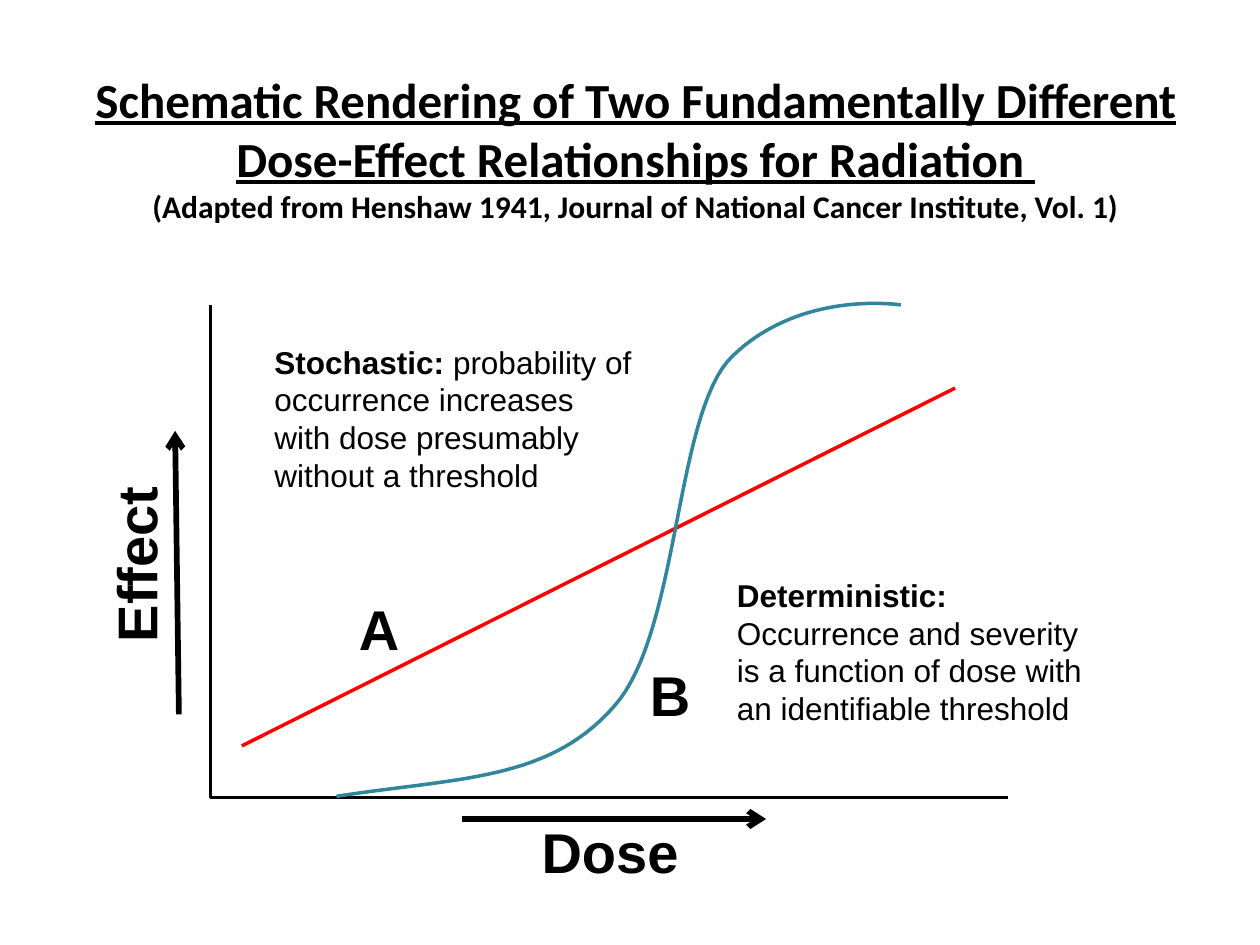
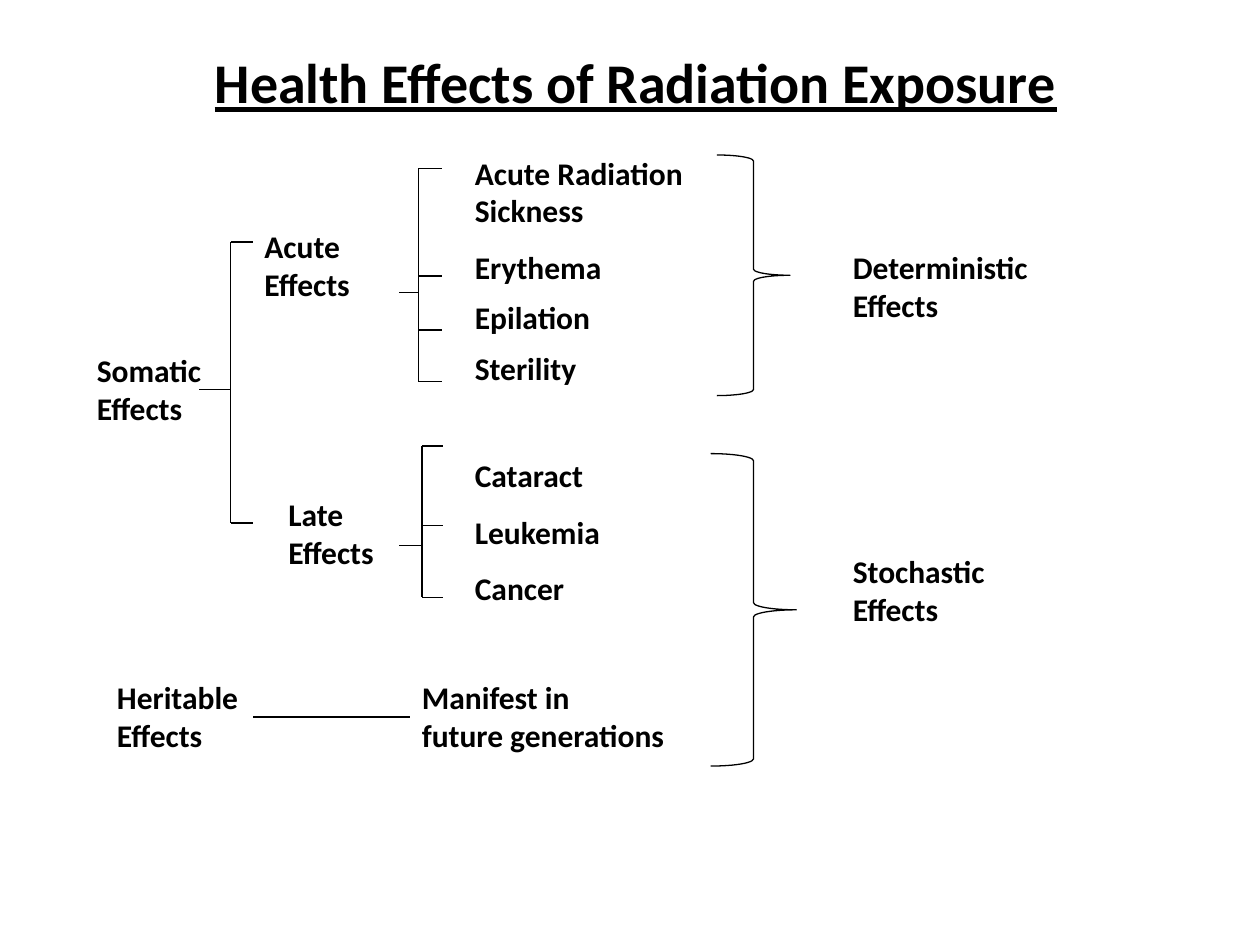
from pptx import Presentation
from pptx import util as u
from pptx.dml.color import RGBColor
from pptx.enum import shapes, text
from pptx.oxml.ns import qn
from lxml import etree

BLACK = RGBColor(0, 0, 0)
RED = RGBColor(0xFF, 0, 0)
TEAL = RGBColor(0x31, 0x85, 0x9C)
HEAD = "Calibri"
BODY = "Arial"


class Deck:
    def __init__(self):
        self.prs = Presentation()
        self.prs.slide_width = u.Inches(10)
        self.prs.slide_height = u.Inches(7.5)

    def slide(self):
        self.page = self.prs.slides.add_slide(self.prs.slide_layouts[6])

    def style(self, run, size, font, bold=True, line=False):
        run.font.size = u.Pt(size)
        run.font.name = font
        run.font.bold = bold
        run.font.underline = line
        run.font.color.rgb = BLACK

    def text(self, words, x, y, w, h, size=18, font=HEAD, wrap=True, space=None):
        box = self.page.shapes.add_textbox(*map(u.Inches, (x, y, w, h)))
        frame = box.text_frame
        frame.text = words
        frame.word_wrap = wrap
        frame.auto_size = text.MSO_AUTO_SIZE.SHAPE_TO_FIT_TEXT
        for para in frame.paragraphs:
            if space:
                para.line_spacing = space
            for run in para.runs:
                self.style(run, size, font)
        return box

    def title(self, words, y, h, size, note=""):
        full = words + "\v" + note if note else words
        box = self.text("", 0.42, y, 9.25, h)
        para = box.text_frame.paragraphs[0]
        para.text = full
        para.alignment = text.PP_ALIGN.CENTER
        self.style(para.runs[0], size, HEAD, line=True)
        for run in para.runs[1:]:
            self.style(run, 18, HEAD)

    def label(self, words, x, y, w, turn=0):
        box = self.text(words, x, y, w, 0.64, 32, BODY, wrap=False)
        box.rotation = turn

    def remark(self, lead, rest, x, y):
        box = self.text(lead, x, y, 3.08, 1.31, font=BODY)
        run = box.text_frame.paragraphs[0].add_run()
        run.text = rest
        self.style(run, 18, BODY, bold=False)

    def line(self, x1, y1, x2, y2, width=0.75, color=BLACK, arrow=False):
        link = self.page.shapes.add_connector(
            shapes.MSO_CONNECTOR.STRAIGHT, *map(u.Inches, (x1, y1, x2, y2)))
        link.line.color.rgb = color
        link.line.width = u.Pt(width)
        props = link._element.spPr
        if arrow:
            tail = etree.SubElement(props.find(qn("a:ln")), qn("a:tailEnd"))
            tail.set("type", "arrow")
        etree.SubElement(props, qn("a:effectLst"))

    def hollow(self, shape, width, color):
        shape.shadow.inherit = False
        shape.fill.background()
        shape.line.color.rgb = color
        shape.line.width = u.Pt(width)

    def curve(self, start, parts, color, steps=30):
        dots = [start]
        for b, c, d in parts:
            a = dots[-1]
            for i in range(1, steps + 1):
                t = i / steps
                s = 1 - t
                dots.append(tuple(
                    s**3 * p + 3 * s * s * t * q + 3 * s * t * t * r + t**3 * e
                    for p, q, r, e in zip(a, b, c, d)))
        dots = [(u.Inches(x), u.Inches(y)) for x, y in dots]
        pen = self.page.shapes.build_freeform(*dots[0])
        pen.add_line_segments(dots[1:], close=False)
        self.hollow(pen.convert_to_shape(), 2, color)

    def brace(self, x, y, w, h):
        shape = self.page.shapes.add_shape(
            shapes.MSO_SHAPE.RIGHT_BRACE, *map(u.Inches, (x, y, w, h)))
        self.hollow(shape, 0.75, BLACK)

    def fork(self, x, ticks, end, stem, start):
        self.line(x, ticks[0], x, ticks[-1])
        self.line(start, stem, x, stem)
        for y in ticks:
            self.line(x, y, end, y)


def dose(deck):
    deck.slide()
    deck.title("Schematic Rendering of Two Fundamentally Different "
               "Dose-Effect Relationships for Radiation ", 0.5, 1.35, 28,
               "(Adapted from Henshaw 1941, Journal of National Cancer "
               "Institute, Vol. 1)")
    deck.line(1.67, 2.42, 1.67, 6.33, 2)
    deck.line(8, 6.33, 1.67, 6.33, 2)
    deck.line(7.58, 3.08, 1.92, 5.92, 2, RED)
    deck.curve((2.67, 6.32), [
        ((3.64, 6.17), (4.35, 6.2), (4.87, 5.61)),
        ((5.4, 5.03), (5.35, 3.25), (5.82, 2.82)),
        ((6.28, 2.38), (6.91, 2.39), (7.15, 2.42)),
    ], TEAL)
    deck.label("A", 2.75, 4.67, 0.53)
    deck.label("B", 5.06, 5.19, 0.53)
    deck.label("Dose", 4.2, 6.44, 1.3)
    deck.label("Effect", 0.35, 4.15, 1.45, 270)
    deck.line(3.67, 6.5, 6.08, 6.5, 3.25, arrow=True)
    deck.line(1.42, 5.67, 1.39, 3.42, 3.25, arrow=True)
    deck.remark("Stochastic: ", "probability of occurrence increases with "
                "dose presumably without a threshold", 2.08, 2.67)
    deck.remark("Deterministic: ", "Occurrence and severity is a function of "
                "dose with an identifiable threshold", 5.75, 4.52)


def health(deck):
    deck.slide()
    deck.title("Health Effects of Radiation Exposure", 0.33, 0.64, 32)
    for kind, x, y, w in [
        ("Somatic", 0.67, 2.74, 1.08),
        ("Acute", 2, 1.75, 0.91),
        ("Late", 2.19, 3.88, 1.06),
        ("Deterministic", 6.67, 1.92, 1.67),
        ("Stochastic", 6.67, 4.33, 1.5),
        ("Heritable", 0.83, 5.33, 1.17),
    ]:
        deck.text(kind + "\nEffects", x, y, w, 0.71)
    deck.text("Acute Radiation\nSickness", 3.67, 1.17, 1.97, 0.71)
    for i, name in enumerate(["Erythema", "Epilation", "Sterility"]):
        deck.text(name, 3.67, 1.92 + 0.4 * i, 1.75, 0.4)
    deck.text("Cataract\nLeukemia\nCancer", 3.67, 3.42, 1.58, 1.46, space=1.5)
    deck.text("Manifest in\nfuture generations", 3.25, 5.33, 2.17, 0.71)
    deck.brace(5.69, 1.23, 0.58, 1.91)
    deck.brace(5.64, 3.6, 0.68, 2.48)
    deck.fork(1.83, [1.92, 4.15], 2.01, 3.09, 1.58)
    deck.fork(3.32, [1.34, 2.19, 2.62, 3.03], 3.51, 2.32, 3.17)
    deck.fork(3.35, [3.54, 4.17, 4.74], 3.52, 4.33, 3.17)
    deck.line(2.01, 5.69, 3.25, 5.69)


def main():
    deck = Deck()
    dose(deck)
    health(deck)
    deck.prs.save("out.pptx")


if __name__ == "__main__":
    main()
